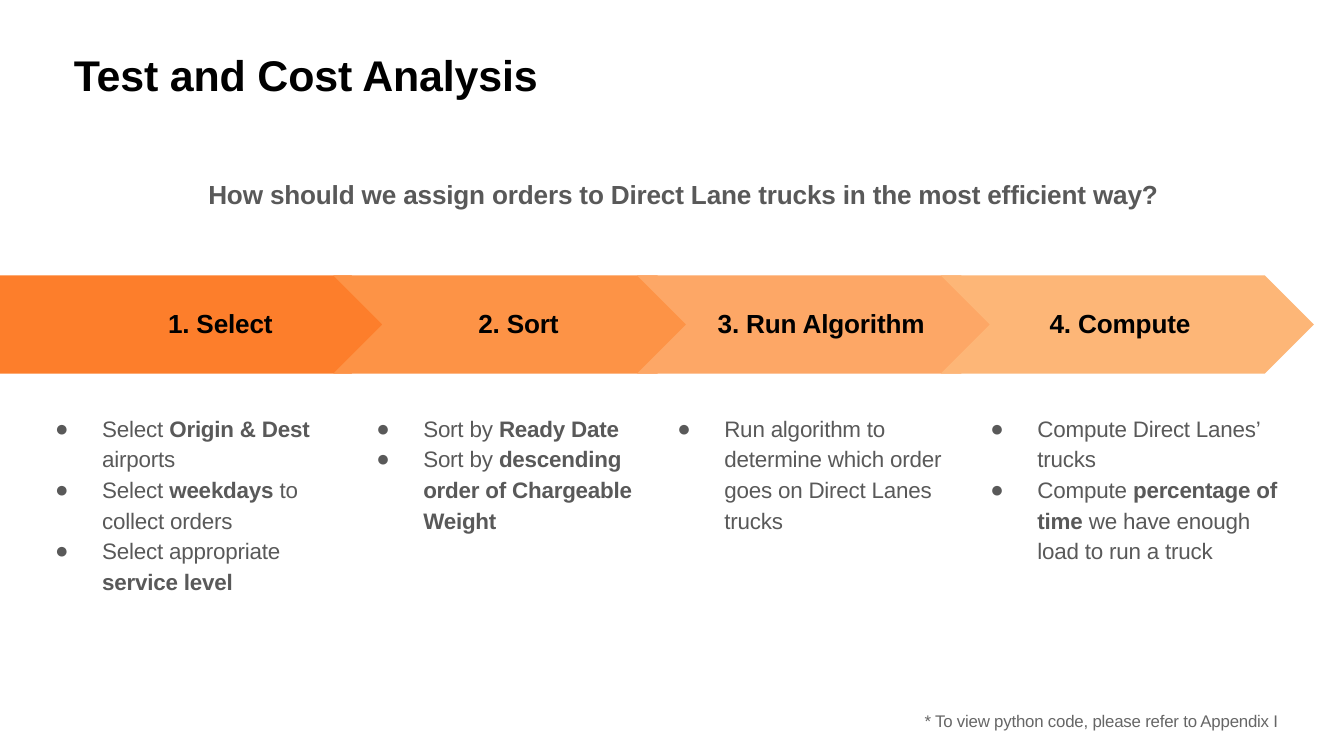
from dataclasses import dataclass

from lxml import etree
from pptx import Presentation
from pptx import util as u
from pptx.dml.color import RGBColor
from pptx.enum import shapes, text
from pptx.oxml.ns import qn

CELL = 0.1  # grid of 100 columns by 56.25 rows, in inches


@dataclass(frozen=True)
class Theme:
    font: str = "Arial"
    black: str = "000000"
    body: str = "595959"
    faint: str = "666666"
    steps: tuple = ("FD7E2B", "FD9346", "FDA766", "FDB677")
    title: int = 23
    head: int = 14
    list: int = 12
    note: int = 9
    track: int = -10  # letter spacing, hundredths of a point


THEME = Theme()

# Name, label (left, width), list (left, width), points.
# Each point is a chain of runs; every second run is bold.
STEPS = [
    ("1. Select", (12.5, 8.2), (4, 19.9), [
        ("Select ", "Origin & Dest", " airports"),
        ("Select ", "weekdays", " to collect orders"),
        ("Select appropriate ", "service level"),
    ]),
    ("2. Sort", (35.6, 6.3), (27.9, 20), [
        ("Sort by ", "Ready Date"),
        ("Sort by ", "descending order of Chargeable Weight"),
    ]),
    ("3. Run Algorithm", (53.4, 15.9), (50.3, 20.7), [
        ("Run algorithm to determine which order goes on Direct Lanes trucks",),
    ]),
    ("4. Compute", (78.1, 10.9), (73.6, 22.3), [
        ("Compute Direct Lanes’ trucks",),
        ("Compute ", "percentage of time",
         " we have enough load to run a truck"),
    ]),
]


def grid(*cells):
    return [u.Inches(cell * CELL) for cell in cells]


def style(para, size, color, bold=None):
    font = para.font
    font.name, font.size, font.bold = THEME.font, u.Pt(size), bold
    font.color.rgb = RGBColor.from_string(color)
    para._p.pPr.find(qn("a:defRPr")).set("spc", str(THEME.track))


def frame(slide, box, wrap=True):
    body = slide.shapes.add_textbox(*grid(*box)).text_frame
    body.word_wrap = wrap
    body.vertical_anchor = text.MSO_ANCHOR.TOP
    body.margin_left = body.margin_right = body.margin_bottom = 0
    body.margin_top = u.Inches(0.01)
    return body


def line(slide, box, words, size, color, bold=None):
    para = frame(slide, box, wrap=False).paragraphs[0]
    para.text = words
    style(para, size, color, bold)


def bullet(para):
    props = para._p.get_or_add_pPr()
    props.set("marL", str(u.Inches(0.36)))
    props.set("indent", str(-u.Inches(0.35)))
    etree.SubElement(props, qn("a:buFont")).set("typeface", THEME.font)
    etree.SubElement(props, qn("a:buChar")).set("char", "●")


def points(slide, box, items):
    body = frame(slide, box)
    for i, item in enumerate(items):
        para = body.add_paragraph() if i else body.paragraphs[0]
        para.line_spacing = 1.14
        bullet(para)
        style(para, THEME.list, THEME.body)
        for j, words in enumerate(item):
            run = para.add_run()
            run.text = words
            run.font.bold = j % 2 == 1


def arrow(slide, box, kind, color):
    shape = slide.shapes.add_shape(kind, *grid(*box))
    shape.adjustments[0] = 0.5
    shape.shadow.inherit = False
    shape.fill.solid()
    shape.fill.fore_color.rgb = RGBColor.from_string(color)
    shape.line.fill.background()


def band(slide, box):
    """Place a row of arrows: a pentagon first, then evenly spaced chevrons."""
    left, top, width, height = box
    first, pitch, long = 0.305 * width, 0.2312 * width, 0.2839 * width
    last = len(STEPS) - 1
    for i, (name, label, _, _) in enumerate(STEPS):
        start = left + width - long - (last - i) * pitch if i else left
        kind = shapes.MSO_SHAPE.CHEVRON if i else shapes.MSO_SHAPE.PENTAGON
        arrow(slide, (start, top, long if i else first, height),
              kind, THEME.steps[i])
        line(slide, (label[0], top + 2.3, label[1], 2.6), name,
             THEME.head, THEME.black, True)


def lists(slide, top, height):
    for _, _, (left, width), items in STEPS:
        points(slide, (left, top, width, height), items)


def main():
    deck = Presentation()
    deck.slide_width, deck.slide_height = grid(100, 56.25)
    slide = deck.slides.add_slide(deck.slide_layouts[6])
    line(slide, (5.5, 3.5, 35, 4.1), "Test and Cost Analysis",
         THEME.title, THEME.black, True)
    line(slide, (15.5, 13.2, 73, 2.6),
         "How should we assign orders to Direct Lane trucks "
         "in the most efficient way?", THEME.head, THEME.body, True)
    band(slide, (0, 20.5, 97.75, 7.3))
    lists(slide, 30.5, 14)
    line(slide, (68.8, 52.8, 27.3, 1.8),
         "* To view python code, please refer to Appendix I",
         THEME.note, THEME.faint)
    deck.save("out.pptx")


if __name__ == "__main__":
    main()
